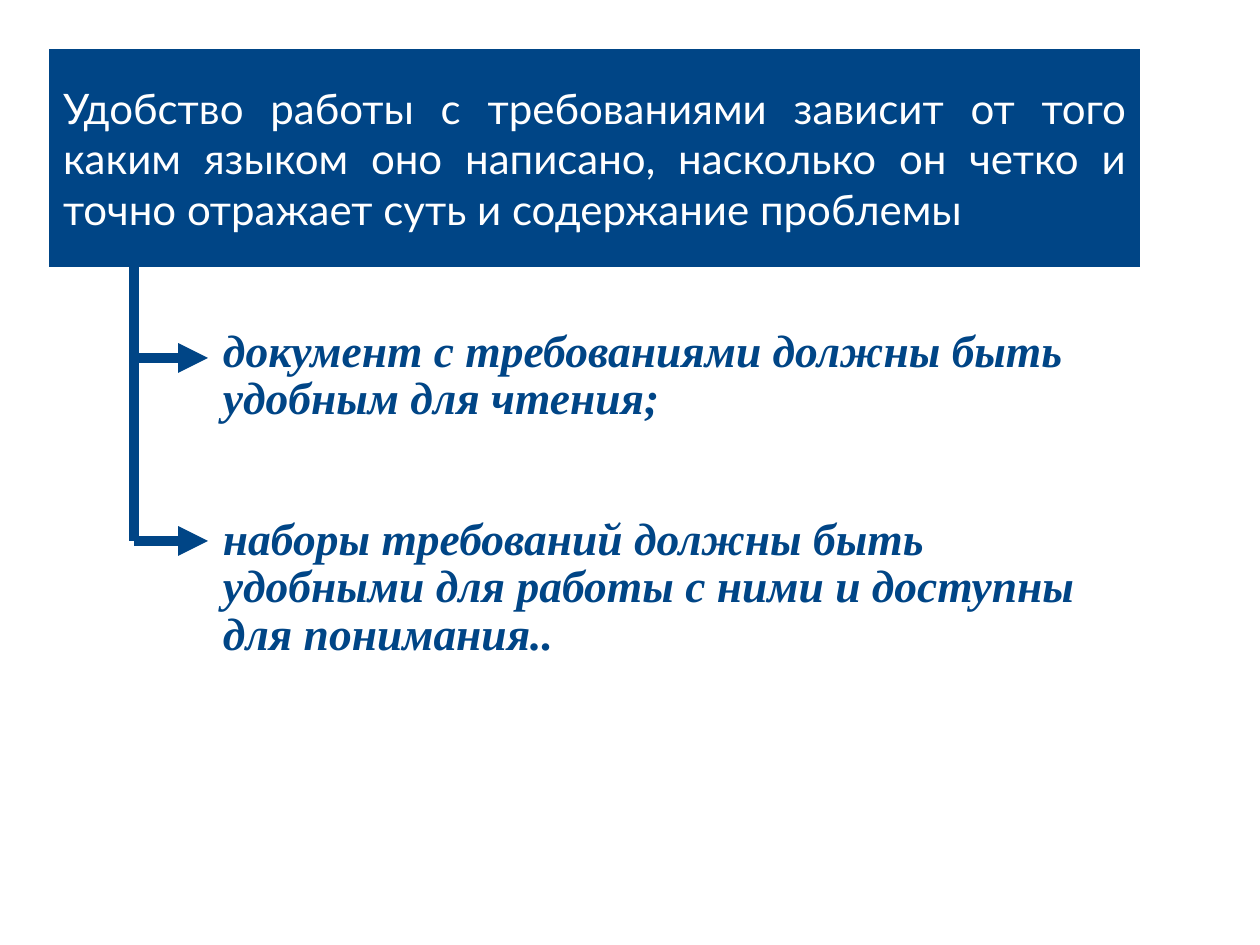
import pptx
import pptx.util
import pptx.dml.color
import pptx.enum.shapes
import pptx.enum.text
import lxml.etree

HEAD = ("Удобство работы с требованиями зависит от того каким языком оно "
        "написано, насколько он четко и точно отражает суть и содержание проблемы")
ITEMS = [
    "документ с требованиями должны быть удобным для чтения;",
    "наборы требований должны быть удобными для работы с ними и доступны "
    "для понимания..",
]

THEME = {
    "blue": pptx.dml.color.RGBColor.from_string("004586"),
    "white": pptx.dml.color.RGBColor.from_string("FFFFFF"),
    "head_font": "Lato", "head_size": 24,
    "item_font": "Times New Roman", "item_size": 26,
    "line": 5.67,
}

SCALE = 914400 / 126
SLIDE = (1260, 945)
BANNER = (49, 49, 1091, 218)
BODY = (209, 328, 888, 333)
TRUNK = 134
TIP = 208
ROWS = (358, 541)
PAD = (14, 8)

ALIGN = pptx.enum.text.PP_ALIGN
A = "http://schemas.openxmlformats.org/drawingml/2006/main"


def px(n):
    return pptx.util.Emu(round(n * SCALE))


def write(shape, texts, font, size, color, bold=False, italic=False,
          align=ALIGN.LEFT, spacing=1.0, gap=0):
    frame = shape.text_frame
    frame.word_wrap = True
    frame.auto_size = pptx.enum.text.MSO_AUTO_SIZE.NONE
    frame.vertical_anchor = pptx.enum.text.MSO_ANCHOR.MIDDLE
    frame.margin_left = frame.margin_right = px(PAD[0])
    frame.margin_top = frame.margin_bottom = px(PAD[1])
    for i, text in enumerate(texts):
        para = frame.add_paragraph() if i else frame.paragraphs[0]
        para.alignment = align
        para.line_spacing = spacing
        para.space_before = pptx.util.Pt(gap if i else 0)
        run = para.add_run()
        run.text = text
        run.font.name = font
        run.font.size = pptx.util.Pt(size)
        run.font.bold, run.font.italic = bold, italic
        run.font.color.rgb = color


def link(slide, start, end, arrow=False):
    line = slide.shapes.add_connector(
        pptx.enum.shapes.MSO_CONNECTOR.STRAIGHT,
        *(px(n) for n in start + end))
    line.line.color.rgb = THEME["blue"]
    line.line.width = pptx.util.Pt(THEME["line"])
    if arrow:
        lxml.etree.SubElement(line.line._get_or_add_ln(), f"{{{A}}}tailEnd",
                              type="triangle")
    lxml.etree.SubElement(line._element.spPr, f"{{{A}}}effectLst")


def main():
    deck = pptx.Presentation()
    deck.slide_width, deck.slide_height = map(px, SLIDE)
    slide = deck.slides.add_slide(deck.slide_layouts[5])

    title = slide.shapes.title
    title.left, title.top, title.width, title.height = map(px, BANNER)
    title.fill.solid()
    title.fill.fore_color.rgb = THEME["blue"]
    write(title, [HEAD], THEME["head_font"], THEME["head_size"],
          THEME["white"], align=ALIGN.JUSTIFY)

    link(slide, (TRUNK, BANNER[1] + BANNER[3]), (TRUNK, ROWS[-1]))
    for y in ROWS:
        link(slide, (TRUNK, y), (TIP, y), arrow=True)

    body = slide.shapes.add_textbox(*map(px, BODY))
    write(body, ITEMS, THEME["item_font"], THEME["item_size"], THEME["blue"],
          bold=True, italic=True, spacing=0.87, gap=53)

    deck.save("out.pptx")


if __name__ == "__main__":
    main()
